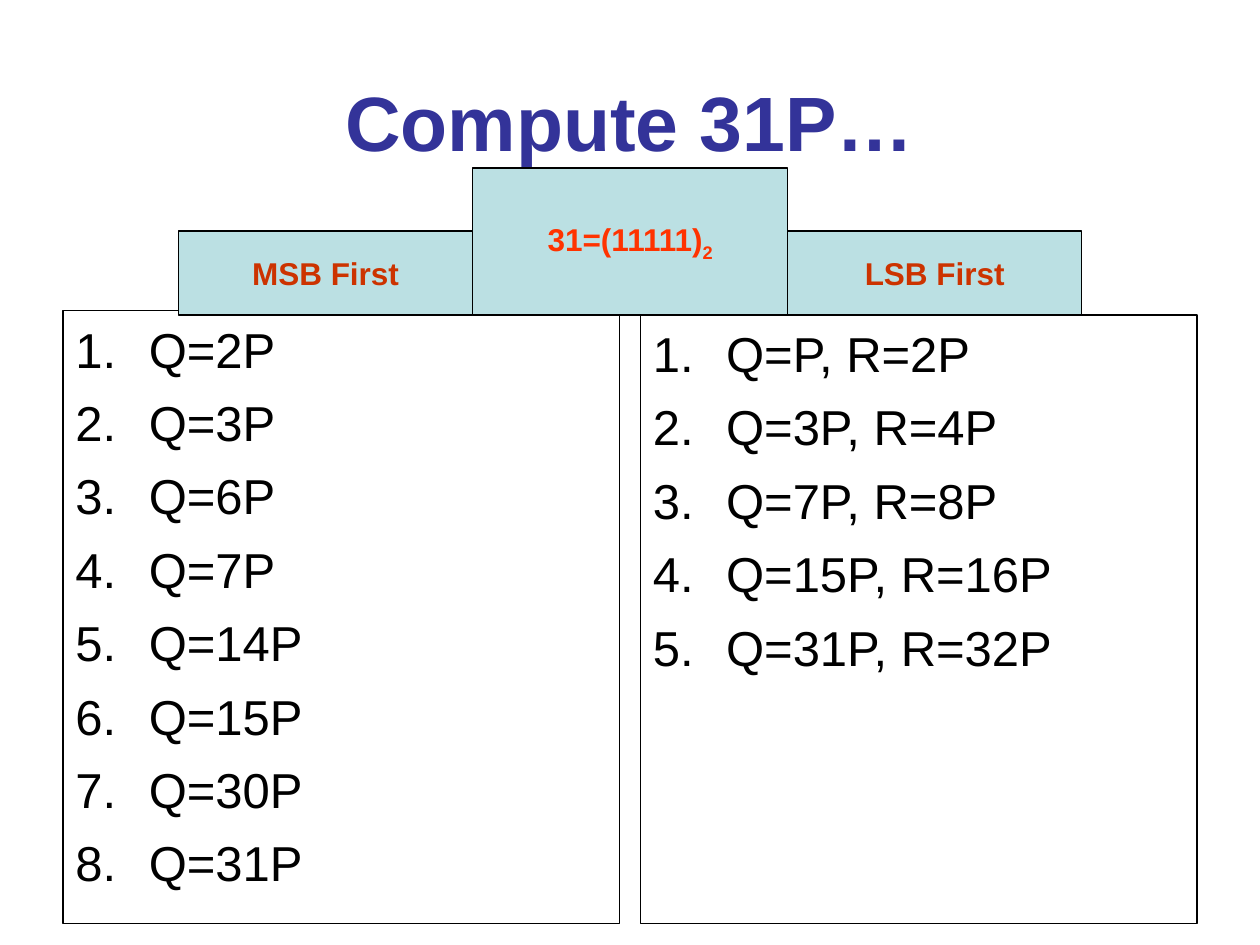
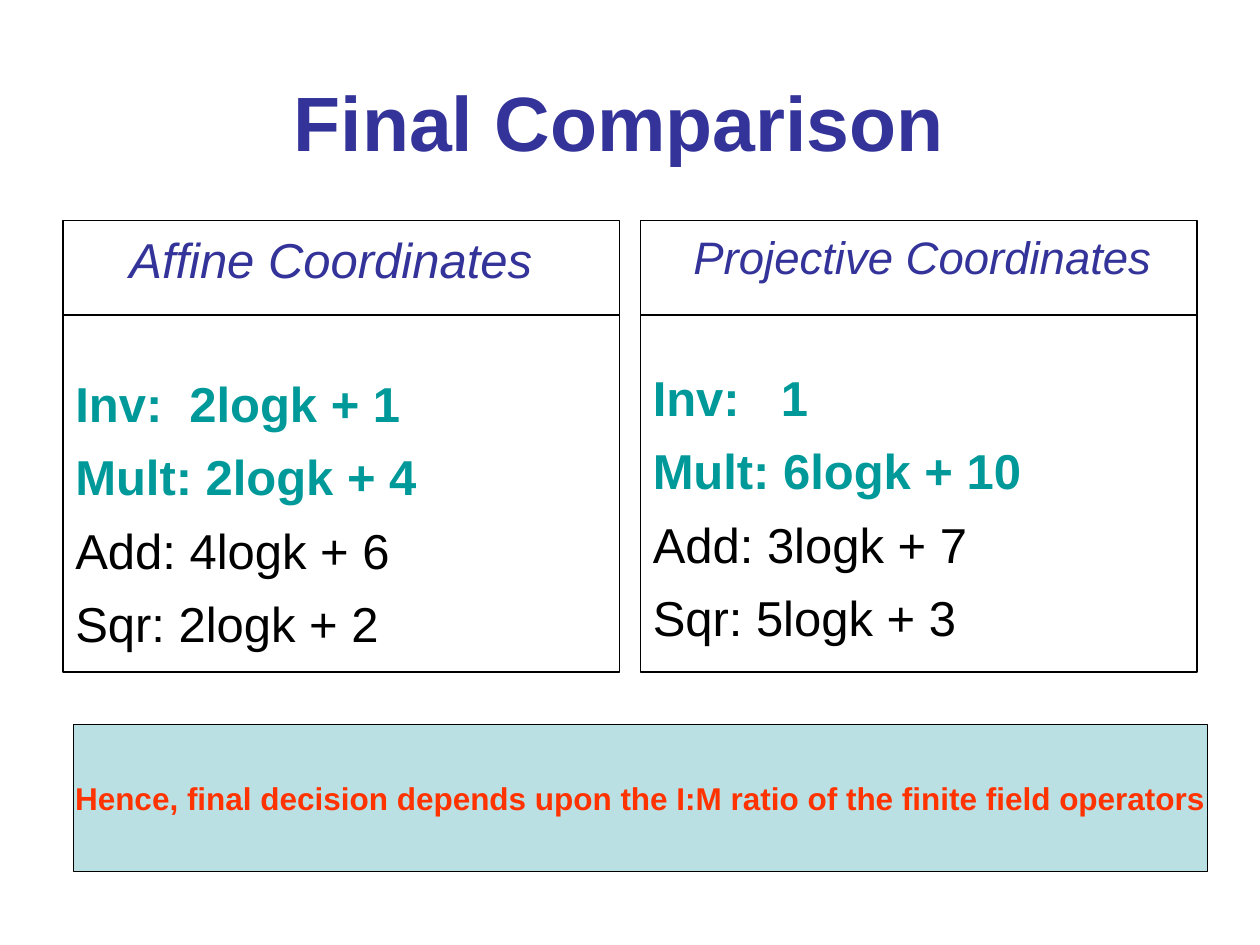
from dataclasses import dataclass

from lxml.etree import SubElement
from pptx import Presentation
from pptx.dml.color import RGBColor
from pptx.enum.shapes import MSO_CONNECTOR, MSO_SHAPE
from pptx.enum.text import MSO_ANCHOR, PP_ALIGN
from pptx.oxml.ns import qn
from pptx.util import Cm, Pt


@dataclass(frozen=True)
class Theme:
    font: str = "Arial"
    ink: str = "000000"
    heading: str = "333399"
    accent: str = "009999"
    fact: str = "FF3300"
    label: str = "CC3300"
    band: str = "BBE0E3"
    title_size: float = 44
    body_size: float = 28
    small_heading_size: float = 26
    label_size: float = 18
    space_before: float = 7
    line_spacing: float = 1.04
    line_width: float = 0.75


T = Theme()
COLUMN_LEFTS = (1.27, 12.91)
COLUMN_WIDTH = 11.22


def add_run(p, text, size, color, bold=False, italic=False):
    r = p.add_run()
    r.text = text
    r.font.name = T.font
    r.font.size = Pt(size)
    r.font.bold = bold
    r.font.italic = italic
    r.font.color.rgb = RGBColor.from_string(color)
    return r


def add_box(s, box, fill=None):
    sp = s.shapes.add_shape(MSO_SHAPE.RECTANGLE, *map(Cm, box))
    sp.shadow.inherit = False
    if fill:
        sp.fill.solid()
        sp.fill.fore_color.rgb = RGBColor.from_string(fill)
    else:
        sp.fill.background()
    sp.line.color.rgb = RGBColor.from_string(T.ink)
    sp.line.width = Pt(T.line_width)
    return sp


def add_title(s, text):
    sp = s.shapes.add_textbox(Cm(1.27), Cm(0.84), Cm(22.86), Cm(3.18))
    tf = sp.text_frame
    tf.word_wrap = True
    tf.vertical_anchor = MSO_ANCHOR.MIDDLE
    p = tf.paragraphs[0]
    p.alignment = PP_ALIGN.CENTER
    add_run(p, text, T.title_size, T.heading, bold=True)


def add_label(s, box, text, color, subscript=""):
    tf = add_box(s, box, T.band).text_frame
    tf.word_wrap = False
    tf.vertical_anchor = MSO_ANCHOR.MIDDLE
    p = tf.paragraphs[0]
    p.alignment = PP_ALIGN.CENTER
    add_run(p, text, T.label_size, color, bold=True)
    if subscript:
        r = add_run(p, subscript, T.label_size, color, bold=True)
        r.font._element.set("baseline", "-25000")


def add_panel(s, box):
    tf = add_box(s, box).text_frame
    tf.word_wrap = True
    tf.vertical_anchor = MSO_ANCHOR.TOP
    return tf


def add_paragraph(tf, first, space_before=T.space_before):
    p = tf.paragraphs[0] if first else tf.add_paragraph()
    p.alignment = PP_ALIGN.LEFT
    p.space_before = Pt(space_before)
    p.line_spacing = T.line_spacing
    return p


def add_steps(s, box, steps):
    tf = add_panel(s, box)
    for i, step in enumerate(steps):
        p = add_paragraph(tf, i == 0)
        pPr = p._p.get_or_add_pPr()
        pPr.set("marL", str(Cm(1.48)))
        pPr.set("indent", str(-Cm(1.48)))
        SubElement(pPr, qn("a:buFont"), typeface=T.font)
        SubElement(pPr, qn("a:buAutoNum"), type="arabicPeriod")
        add_run(p, step, T.body_size, T.ink)


def add_costs(s, box, heading, size, indent, gap, tab, costs):
    left, top, width, _ = box
    tf = add_panel(s, box)
    p = add_paragraph(tf, True)
    p._p.get_or_add_pPr().set("marL", str(Cm(indent)))
    add_run(p, heading, size, T.heading, italic=True)
    for i, cost in enumerate(costs):
        p = add_paragraph(tf, False, gap if i == 0 else T.space_before)
        if "\t" in cost:
            tabs = SubElement(p._p.get_or_add_pPr(), qn("a:tabLst"))
            SubElement(tabs, qn("a:tab"), pos=str(Cm(tab)), algn="l")
        key = i < 2
        add_run(p, cost, T.body_size, T.accent if key else T.ink, bold=key)
    y = Cm(top + 1.9)
    cx = s.shapes.add_connector(
        MSO_CONNECTOR.STRAIGHT, Cm(left), y, Cm(left + width), y)
    cx.line.color.rgb = RGBColor.from_string(T.ink)
    cx.line.width = Pt(T.line_width)
    SubElement(cx._element.spPr, qn("a:effectLst"))


def build_compute(s):
    add_title(s, "Compute 31P…")
    msb = [f"Q={n}P" for n in (2, 3, 6, 7, 14, 15, 30, 31)]
    lsb = [f"Q={q}P, R={r}P"
           for q, r in ((1, 2), (3, 4), (7, 8), (15, 16), (31, 32))]
    lsb[0] = "Q=P, R=2P"
    for left, top, steps in zip(COLUMN_LEFTS, (6.26, 6.35), (msb, lsb)):
        add_steps(s, (left, top, COLUMN_WIDTH, 18.62 - top), steps)
    add_label(s, (9.53, 3.39, 6.35, 2.96), "31=(11111)", T.fact, "2")
    for left, text in ((3.6, "MSB First"), (15.88, "LSB First")):
        add_label(s, (left, 4.66, 5.93, 1.69), text, T.label)


def build_comparison(s):
    add_title(s, "Final Comparison ")
    columns = (
        ("Affine Coordinates", T.body_size, 1.09, 47.5, 2.3,
         ("Inv:\t2logk + 1", "Mult: 2logk + 4",
          "Add: 4logk + 6", "Sqr: 2logk + 2")),
        ("Projective Coordinates", T.small_heading_size, 0.82, 46.5, 2.58,
         ("Inv:\t1", "Mult: 6logk + 10",
          "Add: 3logk + 7", "Sqr: 5logk + 3")),
    )
    for left, column in zip(COLUMN_LEFTS, columns):
        add_costs(s, (left, 4.45, COLUMN_WIDTH, 9.1), *column)
    add_label(
        s, (1.48, 14.61, 22.86, 2.96),
        "Hence, final decision depends upon the I:M ratio "
        "of the finite field operators", T.fact)


def main():
    prs = Presentation()
    prs.slide_width, prs.slide_height = Cm(25.4), Cm(19.05)
    for build in (build_compute, build_comparison):
        build(prs.slides.add_slide(prs.slide_layouts[6]))
    prs.save("out.pptx")


if __name__ == "__main__":
    main()
